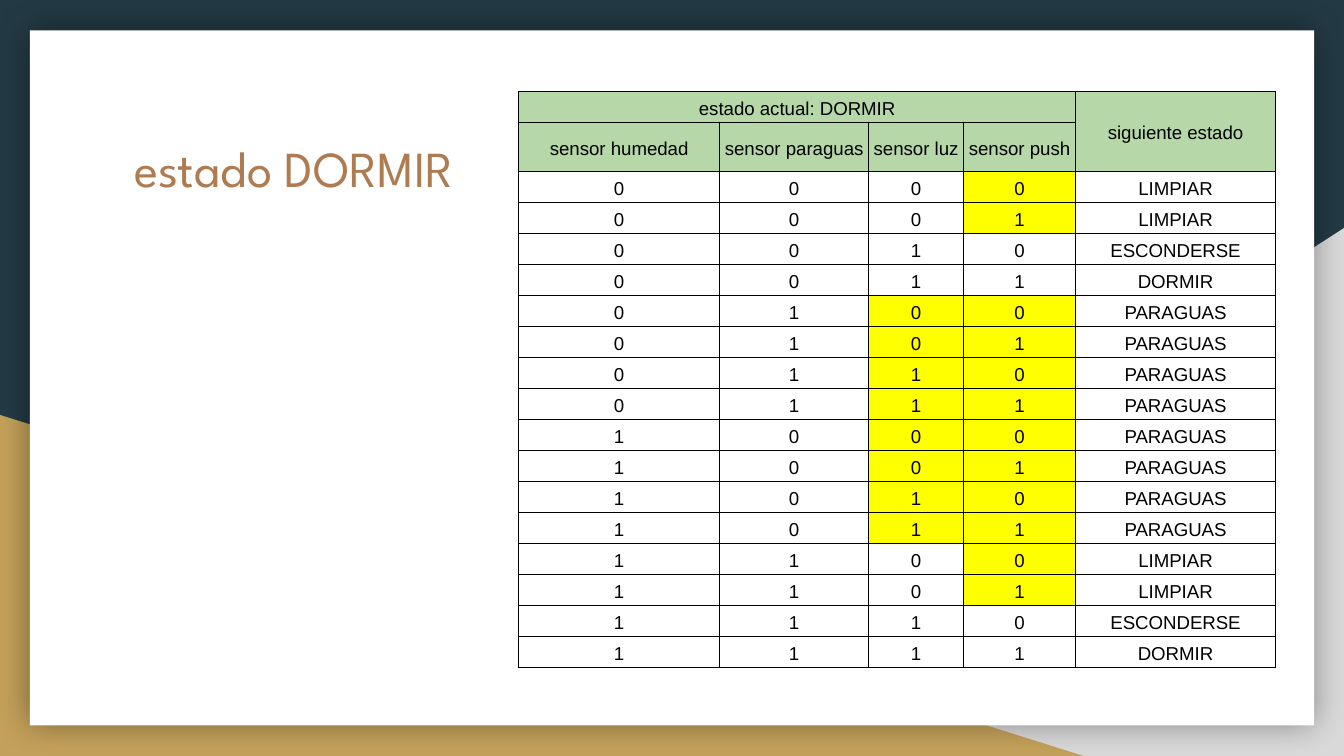
"""Build the transition table slide for the DORMIR state."""
from itertools import product

from lxml.etree import SubElement
from pptx import Presentation
from pptx.dml.color import RGBColor
from pptx.enum.shapes import MSO_SHAPE as SHAPE
from pptx.enum.text import MSO_ANCHOR as ANCHOR, PP_ALIGN as ALIGN
from pptx.oxml import parse_xml
from pptx.oxml.ns import nsdecls, qn
from pptx.util import Pt

NAVY = RGBColor(0x23, 0x3A, 0x44)
GRAY = RGBColor(0xD9, 0xD9, 0xD9)
GOLD = RGBColor(0xC4, 0xA1, 0x5A)
WHITE = RGBColor(0xFF, 0xFF, 0xFF)
BROWN = RGBColor(0xAF, 0x7B, 0x51)
BLACK = RGBColor(0x00, 0x00, 0x00)
GREEN = RGBColor(0xB6, 0xD7, 0xA8)
YELLOW = RGBColor(0xFF, 0xFF, 0x00)


def write(frame, text, font="Arial", size=10, color=BLACK, align=ALIGN.CENTER, spacing=1.15):
    paragraph = frame.paragraphs[0]
    paragraph.alignment = align
    paragraph.line_spacing = spacing
    run = paragraph.add_run()
    run.text = text
    run.font.name = font
    run.font.size = Pt(size)
    run.font.color.rgb = color


def style_cell(cell, fill):
    cell.vertical_anchor = ANCHOR.MIDDLE
    cell.margin_left = cell.margin_right = Pt(2)
    cell.margin_top = cell.margin_bottom = Pt(1.4)
    if fill is None:
        cell.fill.background()
    else:
        cell.fill.solid()
        cell.fill.fore_color.rgb = fill
    properties = cell._tc.get_or_add_tcPr()
    for position, side in enumerate(("lnL", "lnR", "lnT", "lnB")):
        properties.insert(position, parse_xml(
            f'<a:{side} {nsdecls("a")} w="{Pt(0.75)}"><a:solidFill>'
            f'<a:srgbClr val="{BLACK}"/></a:solidFill></a:{side}>'))


prs = Presentation()
prs.slide_width, prs.slide_height = Pt(720), Pt(405)
slide = prs.slides.add_slide(prs.slide_layouts[6])
slide.background.fill.solid()
slide.background.fill.fore_color.rgb = NAVY

backdrop = []
for preset, color, box in (
    (SHAPE.RIGHT_TRIANGLE, GRAY, (282, 122.2, 438, 282.8)),
    (SHAPE.RIGHT_TRIANGLE, GOLD, (0, 222.3, 580.5, 182.7)),
    (SHAPE.RECTANGLE, WHITE, (16, 16.2, 688, 372.4)),
):
    piece = slide.shapes.add_shape(preset, *map(Pt, box))
    piece.shadow.inherit = False
    piece.fill.solid()
    piece.fill.fore_color.rgb = color
    piece.line.fill.background()
    backdrop.append(piece)
gray_corner, gold_corner, card = backdrop
gray_corner.element.spPr.find(qn("a:xfrm")).set("flipH", "1")
glow = SubElement(card.element.spPr.find(qn("a:effectLst")), qn("a:outerShdw"),
                  blurRad=str(Pt(18)), dist="0", dir="0", algn="ctr", rotWithShape="0")
glow_color = SubElement(glow, qn("a:srgbClr"), val=str(BLACK))
SubElement(glow_color, qn("a:alpha"), val="40000")

title = slide.shapes.add_textbox(Pt(64.8), Pt(66.2), Pt(186.5), Pt(74.9)).text_frame
title.word_wrap = True
title.margin_left = title.margin_right = title.margin_top = title.margin_bottom = Pt(7.2)
write(title, "estado DORMIR", font="League Spartan", size=27, color=BROWN,
      align=ALIGN.LEFT, spacing=1)

rows = [
    [("estado actual: DORMIR", GREEN)] + [("", GREEN)] * 3 + [("siguiente estado", GREEN)],
    [(f"sensor {sensor}", GREEN) for sensor in ("humedad", "paraguas", "luz", "push")]
    + [("", GREEN)],
]
for humidity, umbrella, light, push in product((0, 1), repeat=4):
    differ = humidity != umbrella
    if differ:
        next_state = "PARAGUAS"
    elif not light:
        next_state = "LIMPIAR"
    else:
        next_state = "DORMIR" if push else "ESCONDERSE"
    rows.append([
        (str(humidity), WHITE),
        (str(umbrella), WHITE),
        (str(light), YELLOW if differ else WHITE),
        (str(push), YELLOW if differ or not light else WHITE),
        (next_state, None),
    ])

widths = (107.7, 79.8, 50.9, 60, 107.2)
heights = [15.8, 26.2] + [15.8] * 16
transitions = slide.shapes.add_table(len(rows), len(widths), Pt(277.8), Pt(49.1),
                                     Pt(sum(widths)), Pt(sum(heights))).table
for column, width in zip(transitions.columns, widths):
    column.width = Pt(width)
for line, height in zip(transitions.rows, heights):
    line.height = Pt(height)
for row, entries in enumerate(rows):
    for column, (text, fill) in enumerate(entries):
        cell = transitions.cell(row, column)
        style_cell(cell, fill)
        if text:
            write(cell.text_frame, text)
transitions.cell(0, 0).merge(transitions.cell(0, 3))
transitions.cell(0, 4).merge(transitions.cell(1, 4))

prs.save("out.pptx")
